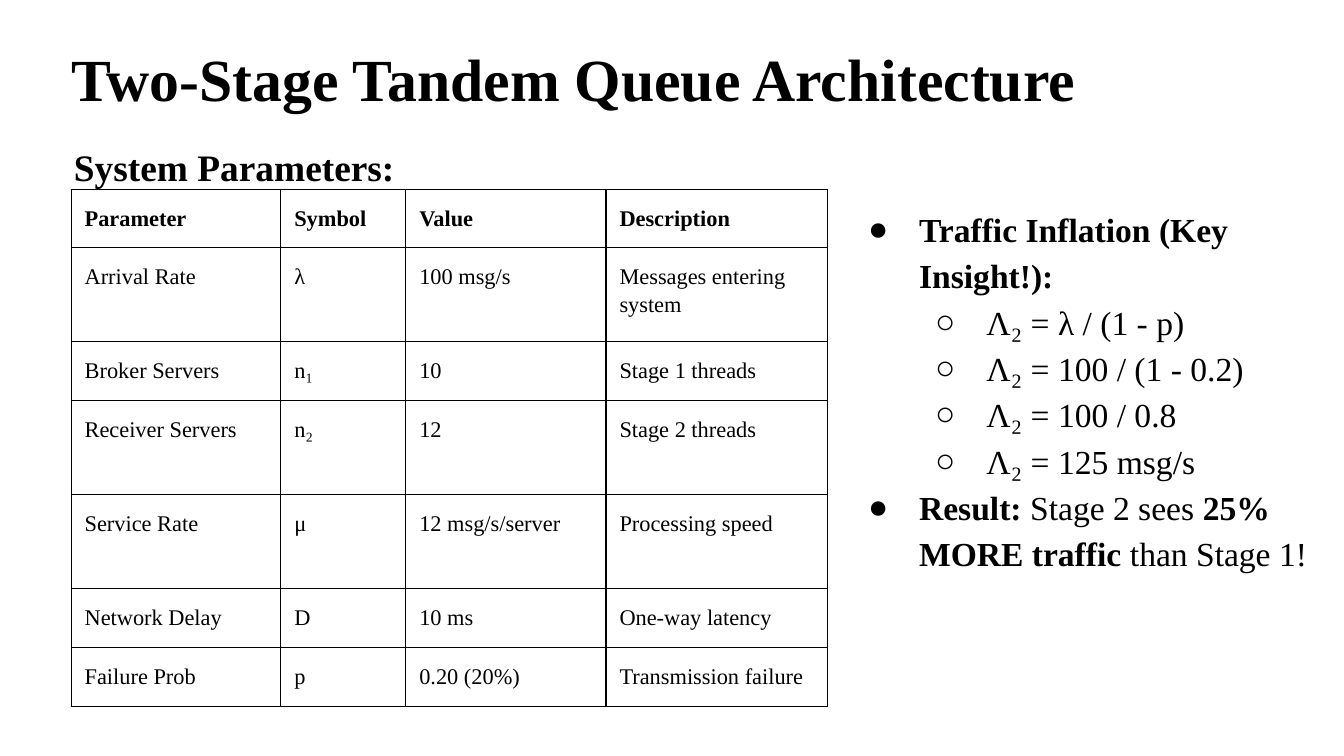
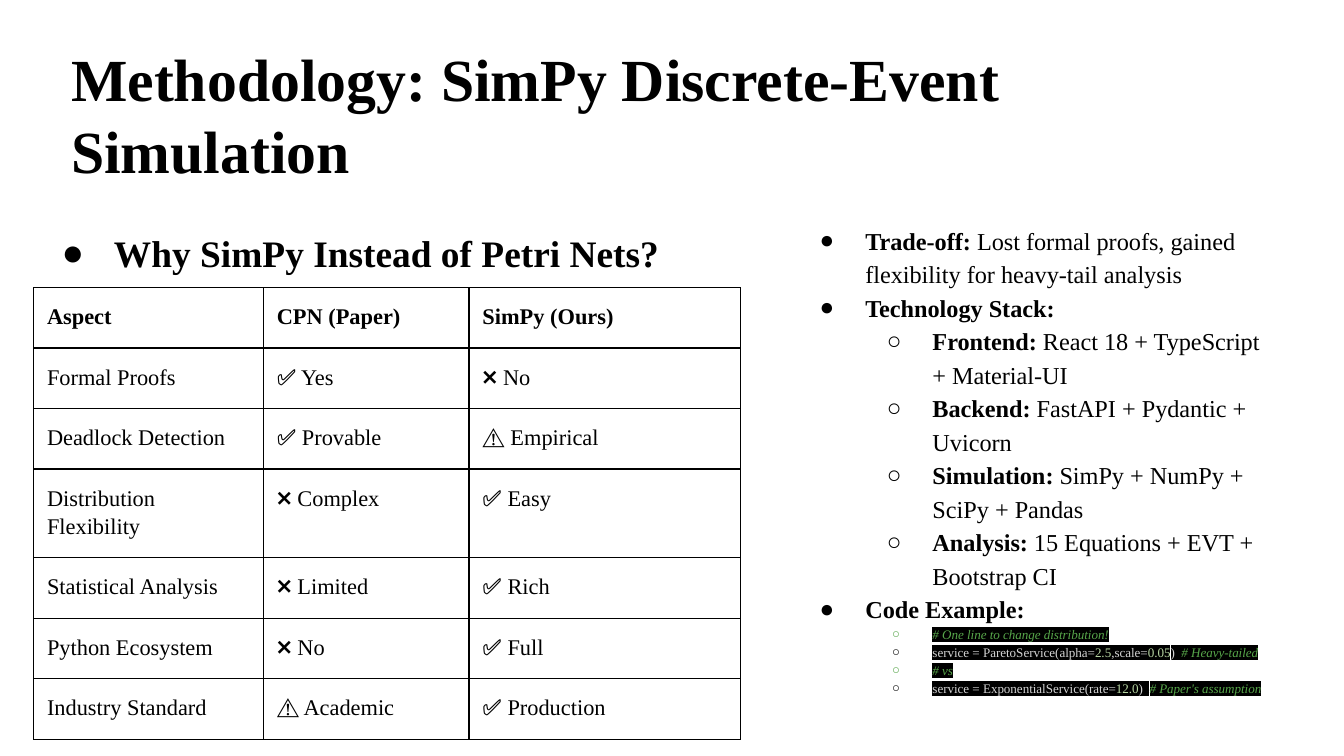
from dataclasses import dataclass

from lxml.etree import SubElement
from pptx import Presentation
from pptx.dml.color import RGBColor
from pptx.oxml.ns import qn
from pptx.util import Inches, Pt

FONT = "Times New Roman"
INK = {
    "text": "000000",
    "page": "FFFFFF",
    "note": "57A64A",
    "code": "D4D4D4",
    "number": "B8D7A3",
}
# Format values for boxes and table cells
WIDE = Inches(10)
SIZE = {"slide_width": WIDE, "slide_height": WIDE * 9 // 16}
FLAT = {"margin_left": 0, "margin_top": 0, "margin_right": 0, "margin_bottom": 0}
INSET = {side: Inches(0.1) for side in FLAT}
PLAIN = {"first_row": False, "horz_banding": False}
DOTS = "●○"


@dataclass
class Run:
    text: str
    bold: bool = False
    ink: str = "text"
    italic: bool = False
    mark: bool = False


@dataclass
class Line:
    runs: list[Run]
    size: float
    space: float = 1.15
    level: int | None = None  # None means no bullet
    hang: float = 0
    dot: str = "text"


@dataclass
class Box:
    left: float
    top: float
    width: float
    height: float
    lines: list[Line]
    inset: bool = True


@dataclass
class Grid:
    left: float
    top: float
    cols: list[float]
    rows: list[float]
    cells: list[list[str]]


def apply(target: object, values: dict) -> None:
    for name, value in values.items():
        setattr(target, name, value)


def color(name: str) -> RGBColor:
    return RGBColor.from_string(INK[name])


def paint(parent, tag: str, name: str) -> None:
    node = SubElement(parent, qn(tag))
    SubElement(node, qn("a:srgbClr"), val=INK[name])


def write(frame, lines: list[Line]) -> None:
    for index, line in enumerate(lines):
        para = frame.add_paragraph() if index else frame.paragraphs[0]
        para.line_spacing = line.space
        if line.level is not None:
            para.level = line.level
            props = para._p.get_or_add_pPr()
            props.set("marL", str(Inches(0.5 * (line.level + 1))))
            props.set("indent", str(-Inches(line.hang)))
            paint(props, "a:buClr", line.dot)
            SubElement(props, qn("a:buFont"), typeface=FONT)
            SubElement(props, qn("a:buChar"), char=DOTS[line.level])
        for part in line.runs:
            run = para.add_run()
            run.text = part.text
            run.font.color.rgb = color(part.ink)
            if part.mark:
                paint(run._r.get_or_add_rPr(), "a:highlight", "text")
            apply(run.font, {"name": FONT, "size": Pt(line.size),
                             "bold": part.bold, "italic": part.italic})


def draw_box(slide, box: Box) -> None:
    area = map(Inches, (box.left, box.top, box.width, box.height))
    frame = slide.shapes.add_textbox(*area).text_frame
    apply(frame, {"word_wrap": True, **(INSET if box.inset else FLAT)})
    write(frame, box.lines)


def draw_grid(slide, grid: Grid) -> None:
    area = map(Inches, (grid.left, grid.top, sum(grid.cols), sum(grid.rows)))
    table = slide.shapes.add_table(len(grid.rows), len(grid.cols), *area).table
    apply(table, PLAIN)
    for col, width in zip(table.columns, grid.cols):
        col.width = Inches(width)
    for y, (row, height) in enumerate(zip(table.rows, grid.rows)):
        row.height = Inches(height)
        for cell, text in zip(row.cells, grid.cells[y]):
            apply(cell, INSET)
            props = cell._tc.get_or_add_tcPr()
            for side in "LRTB":
                edge = SubElement(props, qn(f"a:ln{side}"), w=str(Pt(0.75)))
                paint(edge, "a:solidFill", "text")
            cell.fill.background()
            write(cell.text_frame, [Line([Run(text, bold=y == 0)], 12)])


def add_page(deck, title: str, height: float):
    slide = deck.slides.add_slide(deck.slide_layouts[6])
    fill = slide.background.fill
    fill.solid()
    fill.fore_color.rgb = color("page")
    head = Line([Run(title, bold=True)], 32, space=1.0)
    draw_box(slide, Box(0.53, 0.31, 8.95, height, [head], inset=False))
    return slide


def point(label: str, rest: str = "", level: int = 0, size: float = 13,
          hang: float = 0.34) -> Line:
    """A bullet with a bold label and plain words after it."""
    runs = [Run(label, bold=True), Run(rest)]
    return Line([run for run in runs if run.text], size, level=level, hang=hang)


def code(*parts: tuple[str, str]) -> Line:
    """A bullet of marked code, each part given as text and ink."""
    runs = [Run(text, ink=ink, italic=ink == "note", mark=True)
            for text, ink in parts]
    dot = "note" if parts[0][1] == "note" else "text"
    return Line(runs, 7, level=1, hang=0.3, dot=dot)


# Slide 1 content
PARAMS = Grid(
    0.53, 1.41, [1.56, 0.93, 1.49, 1.65],
    [0.31, 0.7, 0.44, 0.7, 0.7, 0.44, 0.44],
    [
        ["Parameter", "Symbol", "Value", "Description"],
        ["Arrival Rate", "λ", "100 msg/s", "Messages entering system"],
        ["Broker Servers", "n₁", "10", "Stage 1 threads"],
        ["Receiver Servers", "n₂", "12", "Stage 2 threads"],
        ["Service Rate", "μ", "12 msg/s/server", "Processing speed"],
        ["Network Delay", "D", "10 ms", "One-way latency"],
        ["Failure Prob", "p", "0.20 (20%)", "Transmission failure"],
    ],
)
STEPS = ["λ / (1 - p)", "100 / (1 - 0.2)", "100 / 0.8", "125 msg/s"]
RESULT = [
    Run("Result:", bold=True),
    Run(" Stage 2 sees "),
    Run("25% MORE traffic", bold=True),
    Run(" than Stage 1!"),
]
TRAFFIC = Box(6.24, 1.41, 3.95, 2.94, [
    point("Traffic Inflation (Key Insight!):", size=18, hang=0.38),
    *[point("", f"Λ₂ = {step}", 1, 18, 0.38) for step in STEPS],
    Line(RESULT, 18, level=0, hang=0.38),
])
SYSTEM = Box(0.55, 1.01, 4.33, 0.64,
             [Line([Run("System Parameters:", bold=True)], 20, space=1.2)],
             inset=False)

# Slide 2 content
ASPECTS = Grid(
    0.25, 2.14, [1.71, 1.53, 2.02], [0.45] * 7,
    [
        ["Aspect", "CPN (Paper)", "SimPy (Ours)"],
        ["Formal Proofs", "✅ Yes", "❌ No"],
        ["Deadlock Detection", "✅ Provable", "⚠️ Empirical"],
        ["Distribution Flexibility", "❌ Complex", "✅ Easy"],
        ["Statistical Analysis", "❌ Limited", "✅ Rich"],
        ["Python Ecosystem", "❌ No", "✅ Full"],
        ["Industry Standard", "⚠️ Academic", "✅ Production"],
    ],
)
WHY = Box(0.25, 1.55, 5.17, 0.54, [
    Line([Run("Why SimPy Instead of Petri Nets?", bold=True)], 20,
         space=1.2, level=0, hang=0.39),
])
STACK = {
    "Frontend:": " React 18 + TypeScript + Material-UI",
    "Backend:": " FastAPI + Pydantic + Uvicorn",
    "Simulation:": " SimPy + NumPy + SciPy + Pandas",
    "Analysis:": " 15 Equations + EVT + Bootstrap CI",
}
TRADE = Box(5.84, 1.55, 3.73, 3.75, [
    point("Trade-off: ",
          "Lost formal proofs, gained flexibility for heavy-tail analysis"),
    point("Technology Stack:"),
    *[point(label, tools, 1) for label, tools in STACK.items()],
    point("Code Example:"),
    code(("# One line to change distribution!", "note")),
    code(("service = ParetoService(alpha=", "code"), ("2.5", "number"),
         (",scale=", "code"), ("0.05", "number"), (")  ", "code"),
         ("# Heavy-tailed", "note")),
    code(("# vs", "note")),
    code(("service = ExponentialService(rate=", "code"), ("12.0", "number"),
         (")  ", "code"), ("# Paper's assumption", "note")),
])


def main() -> None:
    deck = Presentation()
    apply(deck, SIZE)

    # Slide 1: queue architecture
    slide = add_page(deck, "Two-Stage Tandem Queue Architecture", 0.54)
    draw_box(slide, SYSTEM)
    draw_grid(slide, PARAMS)
    draw_box(slide, TRAFFIC)

    # Slide 2: methodology
    slide = add_page(deck, "Methodology: SimPy Discrete-Event Simulation", 1.08)
    draw_grid(slide, ASPECTS)
    draw_box(slide, WHY)
    draw_box(slide, TRADE)

    deck.save("out.pptx")


if __name__ == "__main__":
    main()
